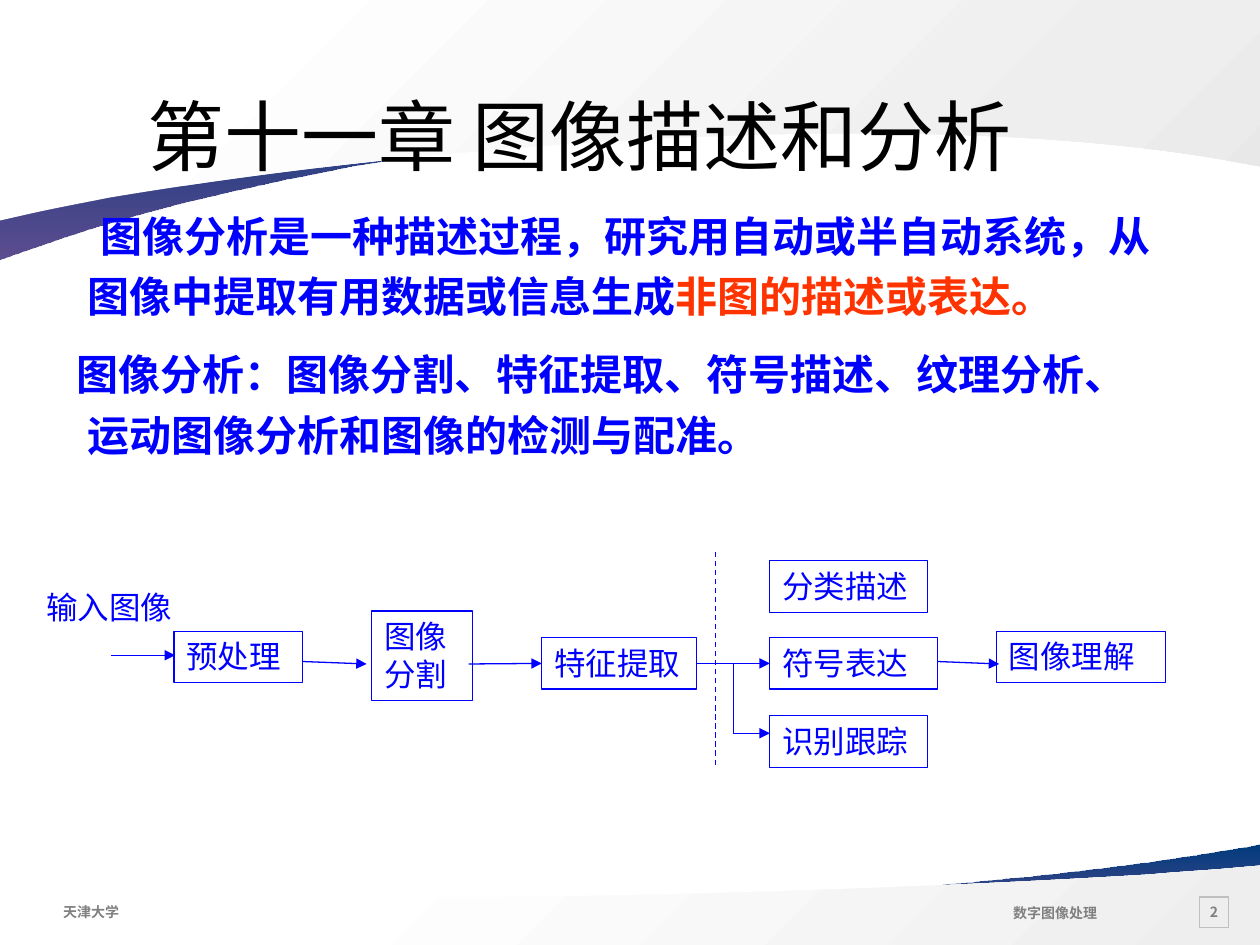
from dataclasses import dataclass

from lxml import etree
from pptx import Presentation
from pptx.dml.color import RGBColor
from pptx.enum.dml import MSO_LINE
from pptx.enum.shapes import MSO_CONNECTOR, MSO_SHAPE
from pptx.enum.text import MSO_ANCHOR, PP_ALIGN
from pptx.oxml import parse_xml
from pptx.oxml.ns import nsdecls, qn
from pptx.util import Inches, Pt

STRAIGHT = MSO_CONNECTOR.STRAIGHT
RECTANGLE = MSO_SHAPE.RECTANGLE
DASH = MSO_LINE.DASH
TOP, MIDDLE = MSO_ANCHOR.TOP, MSO_ANCHOR.MIDDLE
LEFT, CENTER = PP_ALIGN.LEFT, PP_ALIGN.CENTER
LEFT_SIDE, RIGHT_SIDE = 1, 3


@dataclass(frozen=True)
class Theme:
    blue: str = "0000FF"
    red: str = "FF3300"
    black: str = "000000"
    gray: str = "808080"
    frame: str = "BFBFBF"
    text_font: str = "Noto Sans CJK SC"
    label_font: str = "Cabin"
    title_size: int = 44
    body_size: int = 24
    label_size: int = 18
    footer_size: int = 8
    line_width: float = 0.75
    # Gradient stops: position in percent, colour, opacity in percent
    ribbon: tuple = ((0, "003B7D", 100), (100, "342275", 80))
    footer_wave: tuple = ((26, "FFFFFF", 100), (100, "EEEEEE", 100))
    header_wave: tuple = ((17, "FFFFFF", 100), (81, "EEEEEE", 100), (100, "E8E8E8", 100))


THEME = Theme()

# Outlines: a pair is a corner, a triple of pairs is a Bezier curve
FOOTER_RIBBON = [(10, 6.7), (10, 7.35), (0, 7.35), (0, 7.08), (0.01, 7.08),
                 ((2.26, 7.41), (6.15, 7.17), (8.39, 6.93)),
                 ((8.84, 6.88), (9.35, 6.81), (9.89, 6.72))]
FOOTER_WAVE = [(10, 6.87), (10, 7.5), (0, 7.5), (0, 7.03), (0.33, 7.05),
               ((2.94, 7.21), (6.83, 7.08), (9.14, 6.94)),
               ((9.34, 6.92), (9.56, 6.91), (9.78, 6.89))]
HEADER_RIBBON = [(0, 2.06), (0, 0.66), (10, 0.66), (10, 1.24), (9.99, 1.23),
                 ((7.74, 0.53), (3.85, 1.03), (1.61, 1.57)),
                 ((1.16, 1.67), (0.65, 1.83), (0.11, 2.02))]
HEADER_WAVE = [(0, 1.75), (0, 0), (10, 0), (10, 1.32), (9.67, 1.26),
               ((7.06, 0.82), (3.17, 1.18), (0.86, 1.57)),
               ((0.66, 1.61), (0.44, 1.65), (0.22, 1.7))]

STEPS = [
    ("预处理", 1.38, 5.01, 1.02, 0.41),
    ("图像分割", 2.95, 4.85, 0.8, 0.71),
    ("特征提取", 4.3, 5.06, 1.23, 0.41),
    ("分类描述", 6.11, 4.45, 1.25, 0.41),
    ("符号表达", 6.11, 5.06, 1.33, 0.41),
    ("识别跟踪", 6.11, 5.68, 1.25, 0.41),
    ("图像理解", 7.91, 5.01, 1.34, 0.41),
]


def bend_segments(shape, outline):
    """Join each three straight segments that stand for a curve into one Bezier."""
    segments = iter(list(shape._element.iter(qn("a:lnTo"))))
    for part in outline[1:]:
        segment = next(segments)
        if not isinstance(part[0], tuple):
            continue
        curve = etree.Element(qn("a:cubicBezTo"))
        segment.addprevious(curve)
        for piece in (segment, next(segments), next(segments)):
            curve.append(piece[0])
            piece.getparent().remove(piece)


def add_wave(slide, outline, stops, angle):
    points = []
    for part in outline:
        points.extend(part if isinstance(part[0], tuple) else [part])
    points = [(Inches(x), Inches(y)) for x, y in points]
    builder = slide.shapes.build_freeform(*points[0])
    builder.add_line_segments(points[1:], close=True)
    shape = builder.convert_to_shape()
    bend_segments(shape, outline)
    shape.shadow.inherit = False
    shape.line.fill.background()
    stop_xml = "".join(
        f'<a:gs pos="{position * 1000}"><a:srgbClr val="{color}">'
        f'<a:alpha val="{opacity * 1000}"/></a:srgbClr></a:gs>'
        for position, color, opacity in stops)
    gradient = parse_xml(
        f'<a:gradFill {nsdecls("a")}><a:gsLst>{stop_xml}</a:gsLst>'
        f'<a:lin ang="{angle * 60000}" scaled="0"/></a:gradFill>')
    shape._element.spPr.find(qn("a:custGeom")).addnext(gradient)


def style_font(paragraph, font_name, size, color, bold=False):
    font = paragraph.font
    font.name, font.size, font.bold = font_name, Pt(size), bold
    font.color.rgb = RGBColor.from_string(color)
    for run in paragraph.runs:
        east_asian = etree.SubElement(run._r.get_or_add_rPr(), qn("a:ea"))
        east_asian.set("typeface", font_name)


def set_frame(shape, anchor=TOP, wrap=True, margins=(0.1, 0.05, 0.1, 0.05)):
    frame = shape.text_frame
    frame.word_wrap, frame.vertical_anchor = wrap, anchor
    (frame.margin_left, frame.margin_top,
     frame.margin_right, frame.margin_bottom) = map(Inches, margins)
    return frame


def write(shape, text, font_name, size, color, bold=False, align=LEFT, **frame_options):
    paragraph = set_frame(shape, **frame_options).paragraphs[0]
    paragraph.add_run().text = text
    paragraph.alignment = align
    style_font(paragraph, font_name, size, color, bold)


def add_text_box(slide, box):
    return slide.shapes.add_textbox(*map(Inches, box))


def add_box(slide, box, line_color):
    shape = slide.shapes.add_shape(RECTANGLE, *map(Inches, box))
    shape.shadow.inherit = False
    shape.fill.background()
    shape.line.color.rgb = RGBColor.from_string(line_color)
    shape.line.width = Pt(THEME.line_width)
    return shape


def add_line(slide, start, end, arrow=True, dash=None):
    connector = slide.shapes.add_connector(STRAIGHT, *map(Inches, (*start, *end)))
    line = connector.line
    line.color.rgb = RGBColor.from_string(THEME.blue)
    line.width = Pt(THEME.line_width)
    if dash:
        line.dash_style = dash
    if arrow:
        etree.SubElement(line._get_or_add_ln(), qn("a:tailEnd")).set("type", "triangle")
    etree.SubElement(connector._element.spPr, qn("a:effectLst"))
    return connector


def add_background(slide):
    add_wave(slide, FOOTER_RIBBON, THEME.ribbon, 90)
    add_wave(slide, FOOTER_WAVE, THEME.footer_wave, 45)
    add_wave(slide, HEADER_RIBBON, THEME.ribbon, 90)
    add_wave(slide, HEADER_WAVE, THEME.header_wave, 45)


def add_footer(slide):
    style = (THEME.text_font, THEME.footer_size, THEME.gray, True)
    write(add_box(slide, (9.52, 7.12, 0.23, 0.24), THEME.frame), "2", *style,
          align=CENTER, anchor=MIDDLE, wrap=False, margins=(0.08,) * 4)
    for text, box in (("天津大学", (0.5, 7.12, 0.55, 0.24)),
                      ("数字图像处理", (8.04, 7.13, 0.77, 0.24))):
        write(add_text_box(slide, box), text, *style, wrap=False, margins=(0, 0.05, 0.1, 0.05))


def add_body(slide):
    frame = set_frame(add_text_box(slide, (0.35, 1.47, 8.9, 4.95)), margins=(0.1, 0.12, 0.1, 0.05))
    definition, topics = frame.paragraphs[0], frame.add_paragraph()
    definition.add_run().text = "图像分析是一种描述过程，研究用自动或半自动系统，从图像中提取有用数据或信息生成"
    emphasis = definition.add_run()
    emphasis.text = "非图的描述或表达。"
    emphasis.font.color.rgb = RGBColor.from_string(THEME.red)
    topics.add_run().text = "图像分析：图像分割、特征提取、符号描述、纹理分析、运动图像分析和图像的检测与配准。"
    topics.space_before = Pt(10)
    for paragraph, first_line in ((definition, 0.1), (topics, -0.09)):
        paragraph.line_spacing = 1.2
        properties = paragraph._p.get_or_add_pPr()
        properties.set("marL", str(Inches(0.25)))
        properties.set("indent", str(Inches(first_line)))
        style_font(paragraph, THEME.text_font, THEME.body_size, THEME.blue, True)


def add_flow(slide):
    label_style = (THEME.label_font, THEME.label_size, THEME.blue)
    steps = {}
    for text, *box in STEPS:
        steps[text] = add_box(slide, box, THEME.blue)
        write(steps[text], text, *label_style)
    write(add_text_box(slide, (0.27, 4.62, 1.26, 0.4)), "输入图像", *label_style)

    add_line(slide, (0.88, 5.2), (1.39, 5.2))
    add_line(slide, (2.4, 5.25), (2.91, 5.27))
    to_features = add_line(slide, (3.72, 5.27), (4.3, 5.27))
    to_features.end_connect(steps["特征提取"], LEFT_SIDE)
    to_symbols = add_line(slide, (5.53, 5.27), (6.11, 5.27))
    to_symbols.begin_connect(steps["特征提取"], RIGHT_SIDE)
    to_symbols.end_connect(steps["符号表达"], LEFT_SIDE)
    add_line(slide, (7.44, 5.25), (7.93, 5.27))
    add_line(slide, (5.82, 5.27), (5.82, 5.82), arrow=False)
    add_line(slide, (5.82, 5.82), (6.11, 5.82))
    add_line(slide, (5.68, 4.38), (5.68, 6.09), arrow=False, dash=DASH)


def main():
    presentation = Presentation()
    presentation.slide_width, presentation.slide_height = Inches(10), Inches(7.5)
    slide = presentation.slides.add_slide(presentation.slide_layouts[6])
    add_background(slide)
    add_footer(slide)
    add_body(slide)
    add_flow(slide)
    write(add_text_box(slide, (0.98, 0.44, 7.25, 1.25)), "第十一章 图像描述和分析",
          THEME.text_font, THEME.title_size, THEME.black, align=CENTER, anchor=MIDDLE)
    presentation.save("out.pptx")


if __name__ == "__main__":
    main()
